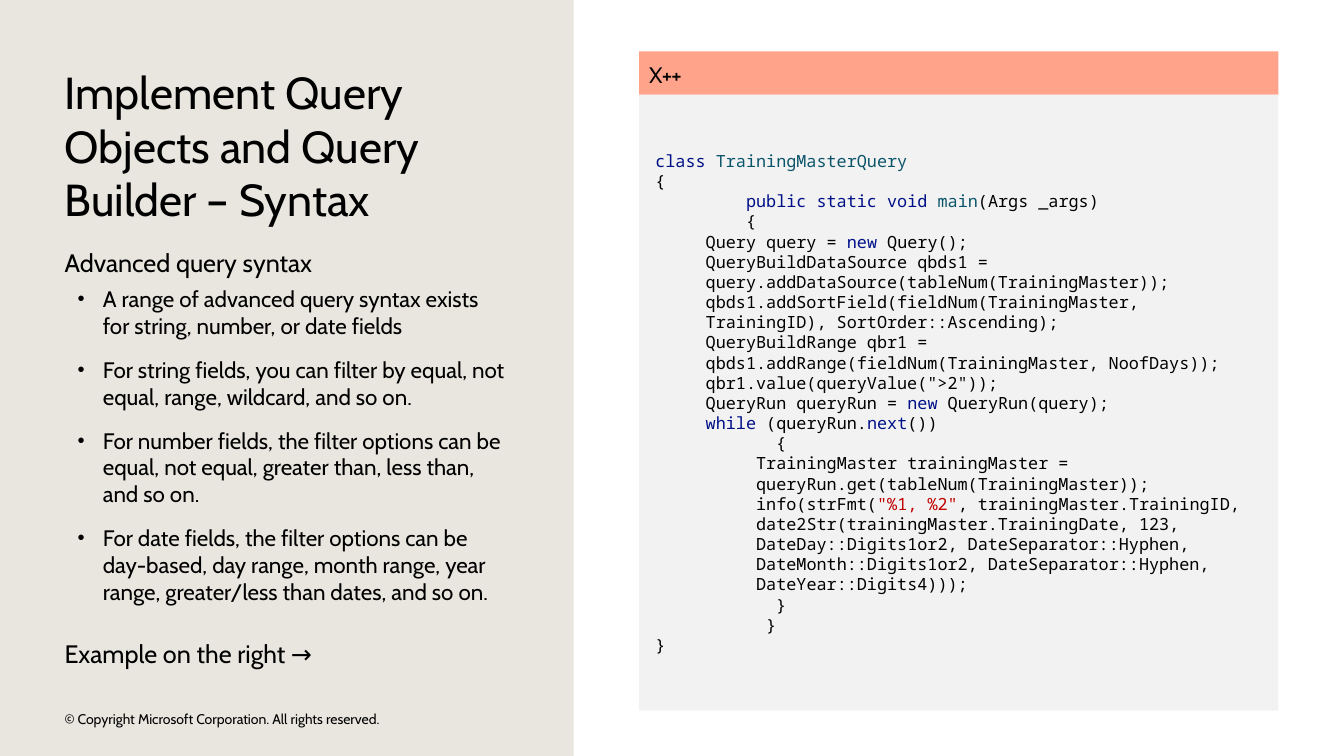
from lxml.etree import SubElement
from pptx import Presentation
from pptx.dml.color import RGBColor
from pptx.enum.shapes import MSO_SHAPE
from pptx.enum.text import MSO_ANCHOR, MSO_AUTO_SIZE, PP_ALIGN
from pptx.oxml.ns import qn
from pptx.util import Inches, Pt

SAND = RGBColor(0xE8, 0xE6, 0xDF)
WHITE = RGBColor(0xFF, 0xFF, 0xFF)
CORAL = RGBColor(0xFF, 0xA3, 0x8B)
GREY = RGBColor(0xF2, 0xF2, 0xF2)
BLACK = RGBColor(0, 0, 0)
KEYWORD = RGBColor(0x00, 0x11, 0x88)
NAME = RGBColor(0x0B, 0x55, 0x6A)
STRING = RGBColor(0xC0, 0x00, 0x00)

TEXT_FONT = "Cabin"
CODE_FONT = "Noto Sans Mono"

TITLE = "Implement Query Objects and Query Builder – Syntax"
HEADING = "Advanced query syntax"
BULLETS = [
    "A range of advanced query syntax exists for string, number, or date fields",
    "For string fields, you can filter by equal, not equal, range, wildcard, and so on.",
    "For number fields, the filter options can be equal, not equal, greater than, "
    "less than, and so on.",
    "For date fields, the filter options can be day-based, day range, month range, "
    "year range, greater/less than dates, and so on.",
]
POINTER = "Example on the right →"
COPYRIGHT = "© Copyright Microsoft Corporation. All rights reserved."
LANGUAGE = "X++"

# Each code paragraph: indent level, then (text, colour) spans
CODE = [
    (0, [("class ", KEYWORD), ("TrainingMasterQuery", NAME)]),
    (0, [("{", BLACK)]),
    (0, [("         ", BLACK), ("public static void ", KEYWORD), ("main", NAME),
         ("(Args _args)", BLACK)]),
    (0, [("         {", BLACK)]),
    (1, [("Query query = ", BLACK), ("new", KEYWORD), (" Query();", BLACK)]),
    (1, [("QueryBuildDataSource qbds1 = query.addDataSource(tableNum(TrainingMaster)); "
          "qbds1.addSortField(fieldNum(TrainingMaster, TrainingID), "
          "SortOrder::Ascending);", BLACK)]),
    (1, [("QueryBuildRange qbr1 = "
          "qbds1.addRange(fieldNum(TrainingMaster, NoofDays));", BLACK)]),
    (1, [('qbr1.value(queryValue(">2"));', BLACK)]),
    (1, [("QueryRun queryRun = ", BLACK), ("new ", KEYWORD), ("QueryRun(query);", BLACK)]),
    (1, [("while", KEYWORD), (" (queryRun.", BLACK), ("next", KEYWORD), ("())", BLACK)]),
    (0, [("            {", BLACK)]),
    (2, [("TrainingMaster trainingMaster = "
          "queryRun.get(tableNum(TrainingMaster));", BLACK)]),
    (2, [("info(strFmt(", BLACK), ('"%1, %2"', STRING),
         (", trainingMaster.TrainingID, date2Str(trainingMaster.TrainingDate, 123, "
          "DateDay::Digits1or2, DateSeparator::Hyphen, DateMonth::Digits1or2, "
          "DateSeparator::Hyphen, DateYear::Digits4)));", BLACK)]),
    (0, [("            }", BLACK)]),
    (0, [("           }", BLACK)]),
    (0, [("}", BLACK)]),
]

LEFT, COLUMN_WIDTH = 0.64, 4.42
CODE_LEFT, CODE_WIDTH = 6.34, 6.34
HEADER_TOP, HEADER_HEIGHT = 0.51, 0.43


def set_frame(shape, across=0, down=0, anchor=MSO_ANCHOR.TOP):
    frame = shape.text_frame
    frame.word_wrap = True
    frame.auto_size = MSO_AUTO_SIZE.NONE
    frame.vertical_anchor = anchor
    frame.margin_left = frame.margin_right = Inches(across)
    frame.margin_top = frame.margin_bottom = Inches(down)
    return frame


def add_rectangle(page, left, top, width, height, color):
    shape = page.shapes.add_shape(
        MSO_SHAPE.RECTANGLE, Inches(left), Inches(top), Inches(width), Inches(height))
    shape.shadow.inherit = False
    shape.fill.solid()
    shape.fill.fore_color.rgb = color
    shape.line.fill.background()
    return shape


def add_text_box(page, left, top, width, height, anchor=MSO_ANCHOR.TOP):
    box = page.shapes.add_textbox(
        Inches(left), Inches(top), Inches(width), Inches(height))
    return set_frame(box, anchor=anchor)


def next_paragraph(frame):
    """Return the empty first paragraph, or a new one after the last."""
    first = frame.paragraphs[0]
    para = frame.add_paragraph() if first.runs else first
    para.alignment = PP_ALIGN.LEFT
    return para


def add_span(para, text, size, color=BLACK, font=TEXT_FONT):
    span = para.add_run()
    span.text = text
    span.font.size = Pt(size)
    span.font.name = font
    span.font.color.rgb = color
    return span


def set_indent(para, margin, first_line=0):
    properties = para._p.get_or_add_pPr()
    properties.set("marL", str(Inches(margin)))
    properties.set("indent", str(Inches(first_line)))
    return properties


def add_bullet(para):
    properties = set_indent(para, 0.38, -0.25)
    SubElement(properties, qn("a:buSzPct"), val="90000")
    SubElement(properties, qn("a:buFont"), typeface="Arial")
    SubElement(properties, qn("a:buChar"), char="•")


def fill_body(frame):
    add_span(next_paragraph(frame), HEADING, 18)
    for bullet in BULLETS:
        para = next_paragraph(frame)
        para.space_before = para.space_after = Pt(6)
        add_bullet(para)
        add_span(para, bullet, 16)
    para = next_paragraph(frame)
    para.space_before = Pt(18)
    add_span(para, POINTER, 18)


def fill_code(frame):
    for level, spans in CODE:
        para = next_paragraph(frame)
        para.level = level
        para.line_spacing = Pt(14.4)
        set_indent(para, level * 0.5)
        for text, color in spans:
            add_span(para, text, 12, color, CODE_FONT)


def main():
    deck = Presentation()
    deck.slide_width, deck.slide_height = Inches(13.33), Inches(7.5)
    page = deck.slides.add_slide(deck.slide_layouts[5])
    page.background.fill.solid()
    page.background.fill.fore_color.rgb = SAND

    title = page.shapes.title
    title.left, title.top = Inches(LEFT), Inches(0.64)
    title.width, title.height = Inches(COLUMN_WIDTH), Inches(1.62)
    add_span(next_paragraph(set_frame(title)), TITLE, 32)

    add_rectangle(page, 5.69, 0, 7.64, 7.5, WHITE)
    fill_body(add_text_box(page, LEFT, 2.45, COLUMN_WIDTH, 4.22))
    footer = add_text_box(page, LEFT, 7.02, 4.54, 0.22, MSO_ANCHOR.MIDDLE)
    add_span(next_paragraph(footer), COPYRIGHT, 10)

    header = add_rectangle(page, CODE_LEFT, HEADER_TOP, CODE_WIDTH, HEADER_HEIGHT, CORAL)
    para = next_paragraph(set_frame(header, 0.1, 0.1))
    label = add_span(para, LANGUAGE, 16)
    label.font._element.set("spc", "-50")

    panel = add_rectangle(
        page, CODE_LEFT, HEADER_TOP + HEADER_HEIGHT, CODE_WIDTH, 6.11, GREY)
    fill_code(set_frame(panel, 0.16, 0.12, MSO_ANCHOR.MIDDLE))

    deck.save("out.pptx")


if __name__ == "__main__":
    main()
